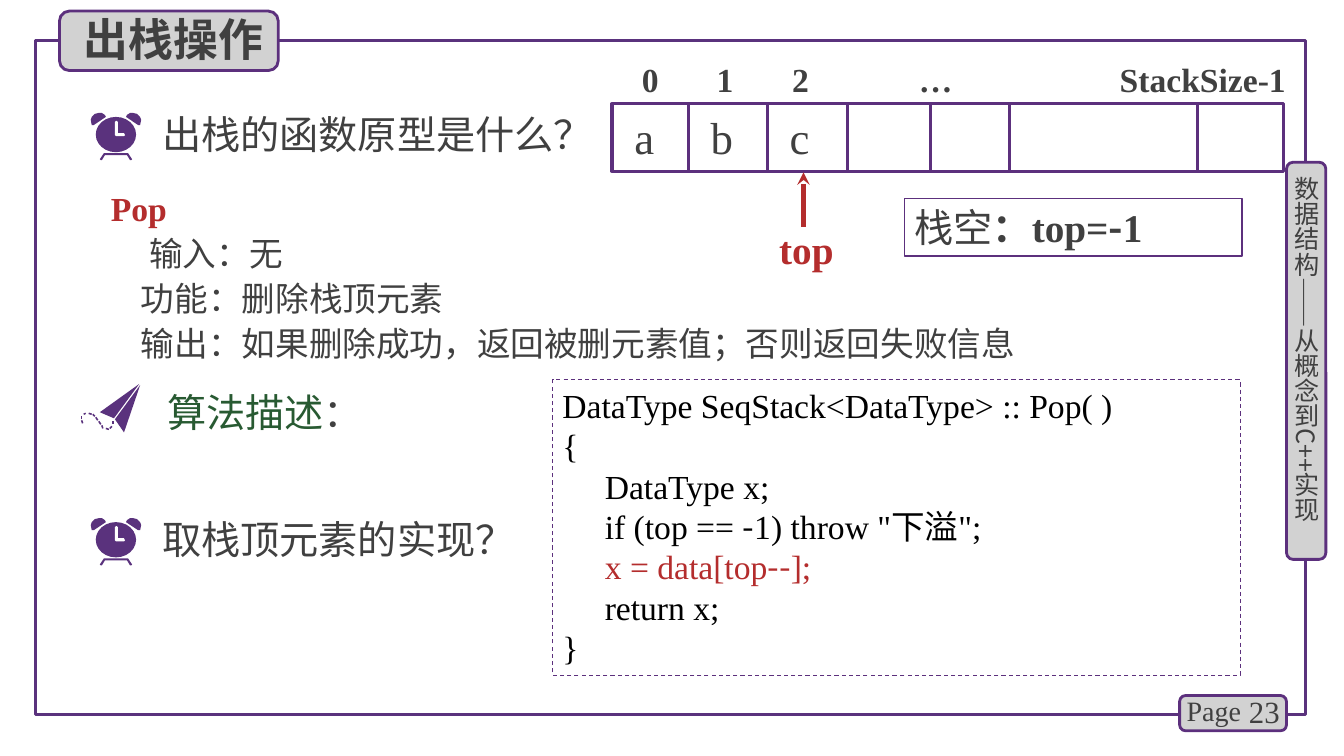
"""Build the slide on popping an element from a sequential stack."""
from dataclasses import dataclass
from typing import NamedTuple

from pptx import Presentation
from pptx import util as u
from pptx.dml.color import RGBColor
from pptx.enum import dml, shapes, text
from pptx.oxml.ns import qn

PX = 9144
COLORS = {"purple": "5C307D", "icon": "5A327D", "gray": "D2D2D2", "ink": "404040",
          "red": "B42D2D", "green": "285A32", "black": "000000", "white": "FFFFFF"}
LATIN, CJK = "Times New Roman", "Noto Sans CJK SC"
ALIGN, ANCHOR, PRESET = text.PP_ALIGN, text.MSO_ANCHOR, shapes.MSO_SHAPE


class Box(NamedTuple):
    left: int
    top: int
    width: int
    height: int


class Run(NamedTuple):
    words: str
    font: str = LATIN
    color: str = "ink"
    bold: bool = False


@dataclass
class Line:
    runs: list[Run]
    indent: int = 0


@dataclass
class Label:
    box: Box
    lines: list[Line]
    size: int
    align: ALIGN = ALIGN.LEFT
    anchor: ANCHOR = ANCHOR.TOP
    spacing: int = 0
    vertical: bool = False


@dataclass
class Panel:
    box: Box
    preset: PRESET
    width: float
    fill: str = ""
    line: str = "purple"
    dashed: bool = False


def label(box: tuple, words: str, size: int, font: str = LATIN, color: str = "ink",
          bold: bool = False, **options) -> Label:
    """Describe a label made of a single run."""
    return Label(Box(*box), [Line([Run(words, font, color, bold)])], size, **options)


def rgb(name: str) -> RGBColor:
    """Look up a named colour."""
    return RGBColor.from_string(COLORS[name])


def emu(lengths) -> list[int]:
    """Turn px lengths into EMU."""
    return [length * PX for length in lengths]


def write(shape, item: Label) -> None:
    """Fill a shape with the formatted lines of a label."""
    frame = shape.text_frame
    frame.word_wrap = True
    frame.auto_size = text.MSO_AUTO_SIZE.NONE
    frame.vertical_anchor = item.anchor
    frame.margin_left = frame.margin_right = u.Inches(0.1)
    frame.margin_top = frame.margin_bottom = u.Inches(0.05)
    if item.vertical:
        frame.margin_left = frame.margin_right = frame.margin_top = frame.margin_bottom = 0
        frame._txBody.bodyPr.set("vert", "eaVert")
    for number, line in enumerate(item.lines):
        paragraph = frame.add_paragraph() if number else frame.paragraphs[0]
        paragraph.alignment = item.align
        paragraph.line_spacing = u.Pt(item.spacing) if item.spacing else 1.0
        paragraph.space_before = u.Pt(0)
        paragraph._p.get_or_add_pPr().set("marL", str(line.indent * PX))
        paragraph._p.get_or_add_pPr().set("indent", "0")
        for part in line.runs:
            run = paragraph.add_run()
            run.text = part.words
            run.font.size, run.font.bold, run.font.name = u.Pt(item.size), part.bold, part.font
            run.font.color.rgb = rgb(part.color)
            east_asian = run._r.get_or_add_rPr().makeelement(qn("a:ea"), {"typeface": CJK})
            run.font._rPr.find(qn("a:latin")).addnext(east_asian)


def draw_label(slide, item: Label) -> None:
    """Add a text box."""
    write(slide.shapes.add_textbox(*emu(item.box)), item)


def paint(shape, fill: str, line: str = "", width: float = 0) -> None:
    """Set fill and outline, and drop the shadow."""
    shape.shadow.inherit = False
    if fill:
        shape.fill.solid()
        shape.fill.fore_color.rgb = rgb(fill)
    else:
        shape.fill.background()
    if line:
        shape.line.color.rgb = rgb(line)
        shape.line.width = u.Pt(width)
    else:
        shape.line.fill.background()


def draw_panel(slide, panel: Panel) -> None:
    """Add an outlined preset shape."""
    shape = slide.shapes.add_shape(panel.preset, *emu(panel.box))
    paint(shape, panel.fill, panel.line, panel.width)
    if panel.dashed:
        shape.line.dash_style = dml.MSO_LINE.DASH


def draw_line(slide, ends: tuple, color: str, width: float, arrow: bool = False) -> None:
    """Add a straight connector, with an arrowhead if wanted."""
    connector = slide.shapes.add_connector(shapes.MSO_CONNECTOR.STRAIGHT, *emu(ends))
    connector.line.color.rgb = rgb(color)
    connector.line.width = u.Pt(width)
    properties = connector._element.spPr
    properties.append(properties.makeelement(qn("a:effectLst"), {}))
    if arrow:
        outline = connector.line._get_or_add_ln()
        outline.append(outline.makeelement(qn("a:tailEnd"), {"type": "stealth"}))


def draw_outline(slide, points: list, color: str) -> None:
    """Add a filled polygon."""
    builder = slide.shapes.build_freeform(*points[0], scale=PX)
    builder.add_line_segments(points[1:], close=True)
    paint(builder.convert_to_shape(), color)


def draw_clock(slide, top: int) -> None:
    """Add an alarm clock icon."""
    bell = [(98, 0), (94, 1), (91, 4), (90, 7), (91, 12), (93, 12), (105, 4), (104, 2), (101, 0)]
    legs = [(131, 46), (127, 40), (103, 40), (99, 46), (100, 47), (101, 47),
            (104, 42), (126, 42), (129, 47), (130, 47)]
    hands = [(114, 9), (115, 8), (116, 8), (117, 9), (117, 20), (123, 20),
             (124, 22), (123, 23), (115, 23), (114, 22)]
    face = slide.shapes.add_shape(PRESET.OVAL, *emu((95, top + 4, 40, 35)))
    paint(face, "icon")
    mirrored = [(230 - x, y) for x, y in bell]
    for points, color in ((bell, "icon"), (mirrored, "icon"), (legs, "icon"), (hands, "white")):
        draw_outline(slide, [(x, top + y) for x, y in points], color)


def draw_plane(slide) -> None:
    """Add a paper plane icon with its dashed trail."""
    draw_outline(slide, [(139, 382), (123, 429), (114, 416)], "icon")
    draw_outline(slide, [(138, 381), (113, 415), (99, 409)], "icon")
    trail = [(112, 418, 112, 421), (111, 423, 109, 425), (108, 426, 105, 425),
             (102, 425, 101, 422), (100, 421, 98, 418), (97, 417, 95, 414),
             (94, 413, 92, 411), (91, 411, 88, 410), (85, 410, 83, 411),
             (82, 420, 81, 417), (81, 416, 81, 413)]
    for dash in trail:
        draw_line(slide, dash, "icon", 1.1)


def draw_stack(slide) -> None:
    """Add the stack array with its indexes, elements and top pointer."""
    draw_panel(slide, Panel(Box(607, 103, 666, 67), PRESET.RECTANGLE, 2.25))
    for x in (683, 761, 841, 923, 1001, 1188):
        draw_line(slide, (x, 103, x, 170), "purple", 2.25)
    for words, center in (("0", 645), ("1", 719), ("2", 794), ("…", 928), ("StackSize-1", 1193)):
        draw_label(slide, label((center - 100, 54, 200, 50), words, 24, bold=True,
                                align=ALIGN.CENTER))
    for words, center in (("a", 639), ("b", 716), ("c", 793)):
        draw_label(slide, label((center - 38, 104, 76, 64), words, 32, align=ALIGN.CENTER))
    draw_line(slide, (797, 225, 797, 171), "red", 3, arrow=True)
    draw_label(slide, label((763, 219, 79, 57), "top", 28, color="red", bold=True))


def main() -> None:
    """Build and save the presentation."""
    presentation = Presentation()
    presentation.slide_width, presentation.slide_height = emu((1333, 750))
    slide = presentation.slides.add_slide(presentation.slide_layouts[5])
    rounded, rectangle = PRESET.ROUNDED_RECTANGLE, PRESET.RECTANGLE
    for panel in (Panel(Box(35, 40, 1260, 669), rectangle, 2.25, line="icon"),
                  Panel(Box(1170, 690, 106, 35), rounded, 2, "gray"),
                  Panel(Box(1276, 161, 39, 394), rounded, 2, "gray"),
                  Panel(Box(59, 11, 217, 59), rounded, 2, "gray"),
                  Panel(Box(548, 377, 682, 293), rectangle, 0.75, dashed=True),
                  Panel(Box(897, 197, 335, 57), rectangle, 1)):
        draw_panel(slide, panel)
    title = slide.shapes.title
    title.left, title.top, title.width, title.height = emu((73, 7, 212, 64))
    write(title, label((73, 7, 212, 64), "出栈操作", 32, CJK, bold=True))
    title.element.getparent().append(title.element)
    draw_stack(slide)
    for top in (112, 514):
        draw_clock(slide, top)
    draw_plane(slide)
    pop = [Line([Run("Pop", color="red", bold=True)])] + [
        Line([Run(words, CJK)], indent) for words, indent in (
            ("输入：无", 38), ("功能：删除栈顶元素", 30),
            ("输出：如果删除成功，返回被删元素值；否则返回失败信息", 30))]
    code = [Line([Run(words, color="black")], indent) for words, indent in (
        ("DataType SeqStack<DataType> :: Pop( )", 0), ("{", 0), ("DataType x;", 42))]
    code += [Line([Run("if (top == ", color="black"), Run("-", CJK, "black"),
                   Run('1) throw "下溢";', color="black")], 42),
             Line([Run("x = data[top", color="red"), Run("--", CJK, "red"),
                   Run("];", color="red")], 42),
             Line([Run("return x;", color="black")], 42), Line([Run("}", color="black")])]
    empty = [Line([Run("栈空", CJK), Run("：top=", bold=True), Run("-", CJK, bold=True),
                   Run("1", bold=True)])]
    heading = [Line([Run("算法描述", CJK, "green"), Run("：", CJK)])]
    for item in (label((1220, 686, 59, 40), "23", 22, align=ALIGN.RIGHT, anchor=ANCHOR.MIDDLE),
                 label((1167, 683, 78, 44), "Page", 20),
                 label((1281, 175, 30, 378), "数据结构——从概念到C++实现", 18, CJK, vertical=True),
                 label((151, 105, 533, 57), "出栈的函数原型是什么？", 28, CJK),
                 label((151, 506, 379, 57), "取栈顶元素的实现？", 28, CJK),
                 Label(Box(100, 176, 1122, 190), pop, 24, anchor=ANCHOR.MIDDLE, spacing=32),
                 Label(Box(156, 380, 288, 57), heading, 28),
                 Label(Box(548, 377, 682, 293), code, 24),
                 Label(Box(897, 197, 335, 57), empty, 28)):
        draw_label(slide, item)
    presentation.save("out.pptx")


if __name__ == "__main__":
    main()
